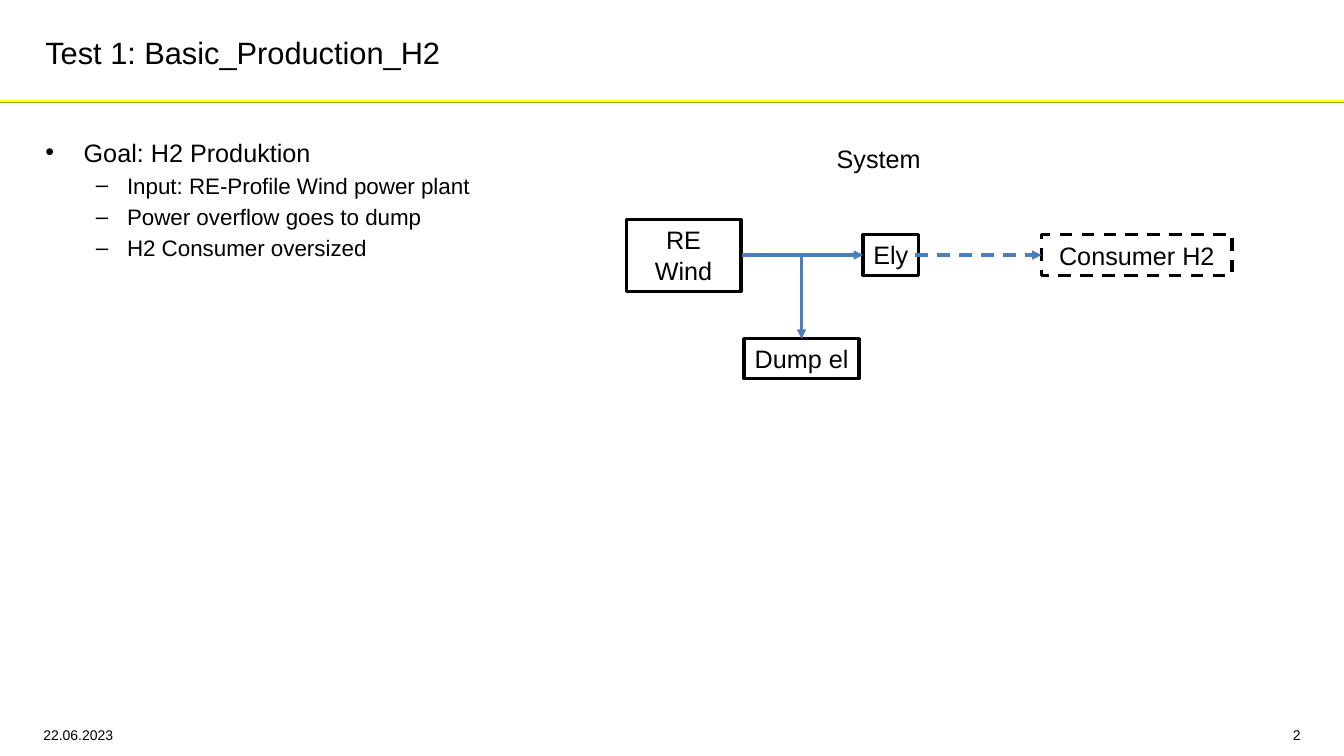
from lxml.etree import SubElement
from pptx import Presentation
from pptx.dml.color import RGBColor
from pptx.enum.dml import MSO_LINE
from pptx.enum.shapes import MSO_CONNECTOR, MSO_SHAPE
from pptx.enum.text import MSO_ANCHOR, MSO_AUTO_SIZE, PP_ALIGN
from pptx.oxml.ns import qn
from pptx.util import Inches, Pt

BLACK = "000000"
BLUE = "4B7EBC"
GREEN = "7AB51D"
YELLOW = "FFFF00"
FLOW_Y = 2.53
DUMP_X = 7.95
BULLETS = [
    (0, "Goal: H2 Produktion "),
    (1, "Input: RE-Profile Wind power plant"),
    (1, "Power overflow goes to dump"),
    (1, "H2 Consumer oversized "),
]
# Per list level: text size, left margin, hanging indent, bullet
LEVELS = [(18, 0.38, 0.38, "\u2022"), (16, 0.81, 0.31, "\u2013")]


def color(value):
    """Turn a hex string into a colour."""
    return RGBColor.from_string(value)


def add_run(paragraph, text, size):
    """Add a black Arial run to a paragraph."""
    run = paragraph.add_run()
    run.text = text
    run.font.name = "Arial"
    run.font.size = Pt(size)
    run.font.color.rgb = color(BLACK)


def place(shape, left, top, width, height):
    """Move and size a shape, in inches."""
    shape.left, shape.top = Inches(left), Inches(top)
    shape.width, shape.height = Inches(width), Inches(height)


def style_line(line, value, width, dashed=False):
    """Set colour, width and dash of a line."""
    line.color.rgb = color(value)
    line.width = Pt(width)
    if dashed:
        line.dash_style = MSO_LINE.DASH


def fill_title(shape, text):
    """Place and fill the title placeholder."""
    place(shape, 0.35, 0.05, 9.48, 0.94)
    frame = shape.text_frame
    frame.vertical_anchor = MSO_ANCHOR.MIDDLE
    frame.auto_size = MSO_AUTO_SIZE.NONE
    paragraph = frame.paragraphs[0]
    paragraph.alignment = PP_ALIGN.LEFT
    add_run(paragraph, text, 22)


def fill_body(shape, items):
    """Place the body placeholder and fill it with a two-level list."""
    place(shape, 0.35, 1.31, 6.98, 5.51)
    frame = shape.text_frame
    frame.auto_size = MSO_AUTO_SIZE.NONE
    for index, (level, text) in enumerate(items):
        paragraph = frame.add_paragraph() if index else frame.paragraphs[0]
        size, margin, hanging, bullet = LEVELS[level]
        paragraph.level = level
        paragraph.space_before = Pt(size * 0.2)
        properties = paragraph._p.get_or_add_pPr()
        properties.set("marL", str(Inches(margin)))
        properties.set("indent", str(-Inches(hanging)))
        SubElement(properties, qn("a:buFont"), typeface="Arial")
        SubElement(properties, qn("a:buChar"), char=bullet)
        add_run(paragraph, text, size)


def add_label(slide, text, box, size, alignment=PP_ALIGN.LEFT, wrap=True,
              margins=(0.1, 0.1)):
    """Add a text box with one line of text."""
    shape = slide.shapes.add_textbox(*map(Inches, box))
    frame = shape.text_frame
    frame.word_wrap = wrap
    frame.margin_left, frame.margin_right = map(Inches, margins)
    frame.paragraphs[0].alignment = alignment
    add_run(frame.paragraphs[0], text, size)


def add_component(slide, text, box, dashed=False, wrap=True):
    """Add an outlined box for one part of the system."""
    shape = slide.shapes.add_shape(MSO_SHAPE.RECTANGLE, *map(Inches, box))
    shape.shadow.inherit = False
    shape.fill.background()
    style_line(shape.line, BLACK, 2.25, dashed)
    frame = shape.text_frame
    frame.word_wrap = wrap
    frame.vertical_anchor = MSO_ANCHOR.MIDDLE if dashed else MSO_ANCHOR.TOP
    frame.paragraphs[0].alignment = PP_ALIGN.CENTER
    add_run(frame.paragraphs[0], text, 18)


def add_line(slide, start, end, value, width, dashed=False, arrow=False):
    """Add a straight line, with an arrowhead at its end if wanted."""
    connector = slide.shapes.add_connector(
        MSO_CONNECTOR.STRAIGHT, *map(Inches, start + end))
    style_line(connector.line, value, width, dashed)
    if arrow:
        SubElement(connector.line._get_or_add_ln(), qn("a:tailEnd"), type="triangle")
    SubElement(connector._element.spPr, qn("a:effectLst"))


def add_flow(slide, start, end, dashed=False):
    """Add a blue arrow between two components."""
    add_line(slide, start, end, BLUE, 2.25, dashed, arrow=True)


def main():
    """Build and save the slide."""
    presentation = Presentation()
    presentation.slide_width = Inches(13.33)
    presentation.slide_height = Inches(7.5)
    slide = presentation.slides.add_slide(presentation.slide_layouts[1])

    add_line(slide, (0, 1.01), (13.34, 1.01), GREEN, 0.25)
    add_line(slide, (-0.02, 0.99), (13.33, 0.99), YELLOW, 0.25)
    add_label(slide, "2", (11.09, 7.16, 1.89, 0.28), 10, PP_ALIGN.RIGHT,
              margins=(0.1, 0.08))
    add_label(slide, "22.06.2023", (0.35, 7.16, 2.13, 0.28), 10,
              margins=(0.08, 0.1))
    fill_title(slide.shapes.title, "Test 1: Basic_Production_H2")
    fill_body(slide.placeholders[1], BULLETS)

    add_label(slide, "System", (8.2, 1.37, 1.04, 0.4), 18, wrap=False)
    add_component(slide, "RE Wind", (6.21, 2.18, 1.14, 0.71))
    add_component(slide, "Ely", (8.56, 2.33, 0.55, 0.4), wrap=False)
    add_component(slide, "Consumer H2", (10.33, 2.33, 1.89, 0.4), dashed=True)
    add_component(slide, "Dump el", (7.38, 3.36, 1.14, 0.4))
    add_flow(slide, (7.36, FLOW_Y), (8.56, FLOW_Y))
    add_flow(slide, (9.08, FLOW_Y), (10.33, FLOW_Y), dashed=True)
    add_flow(slide, (DUMP_X, FLOW_Y), (DUMP_X, 3.36))

    presentation.save("out.pptx")


main()
